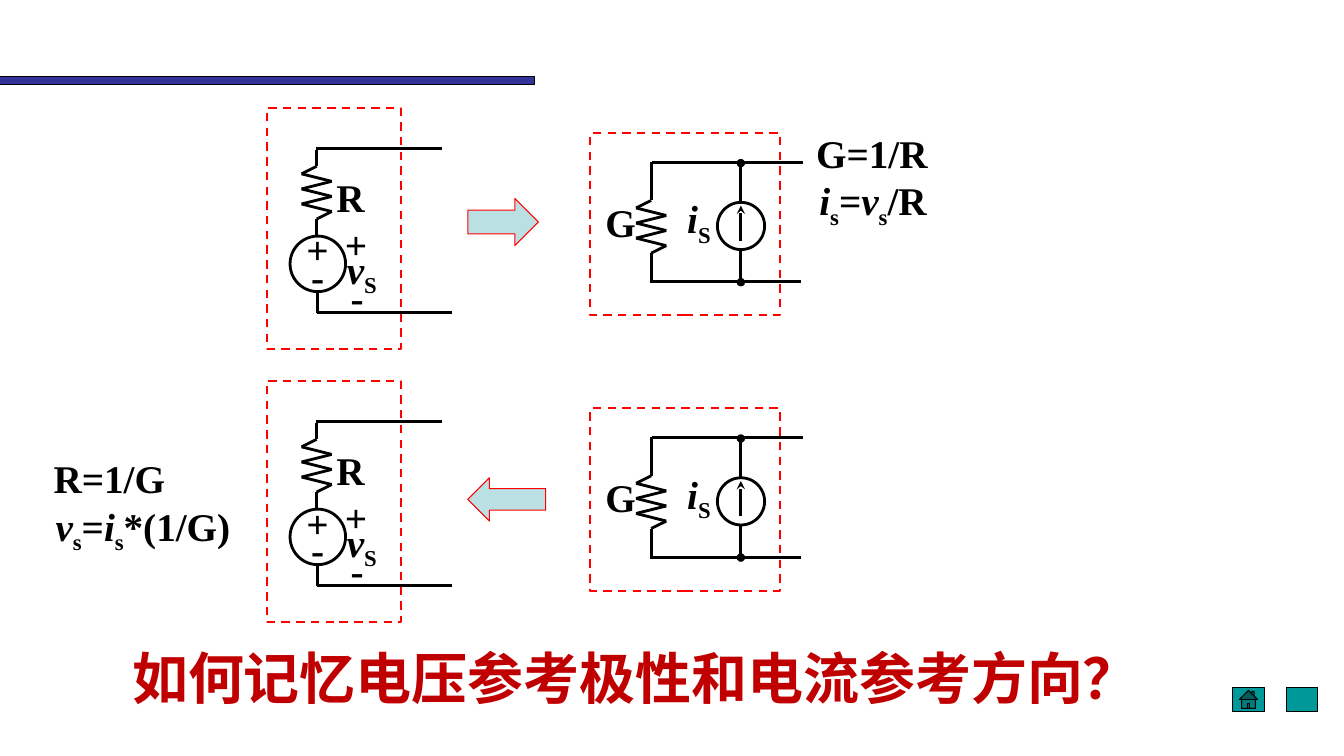
import itertools
from dataclasses import dataclass

import pptx
import pptx.dml.color
import pptx.enum.dml
import pptx.enum.shapes
import pptx.enum.text
import pptx.oxml.ns
import pptx.util
from lxml import etree
from pptx.util import Cm

SHAPE = pptx.enum.shapes.MSO_SHAPE


@dataclass(frozen=True)
class Theme:
    ink: str = "000000"
    frame: str = "FF0000"
    arrow: str = "BBE0E3"
    bar: str = "333399"
    button: str = "009999"
    question: str = "C00000"
    latin: str = "Times New Roman"
    cjk: str = "Noto Sans CJK SC"
    label_size: int = 28
    question_size: int = 40
    thin: float = 0.75
    dashed: float = 1.5
    wire: float = 2


THEME = Theme()


def rgb(color):
    return pptx.dml.color.RGBColor.from_string(color)


def add_child(parent, tag, **attributes):
    return etree.SubElement(parent, pptx.oxml.ns.qn(tag), **attributes)


def add_outline(slide, kind, left, top, width, height, line, weight, fill=None):
    """Preset shape, hollow unless a fill is given."""
    shape = slide.shapes.add_shape(kind, Cm(left), Cm(top), Cm(width), Cm(height))
    shape.shadow.inherit = False
    if fill:
        shape.fill.solid()
        shape.fill.fore_color.rgb = rgb(fill)
    else:
        shape.fill.background()
    shape.line.color.rgb = rgb(line)
    shape.line.width = pptx.util.Pt(weight)
    return shape


def add_wire(slide, start, end, head=None, tail=None):
    """Straight wire, with optional end marks."""
    wire = slide.shapes.add_connector(
        pptx.enum.shapes.MSO_CONNECTOR.STRAIGHT,
        *(Cm(value) for value in (*start, *end)))
    wire.line.color.rgb = rgb(THEME.ink)
    wire.line.width = pptx.util.Pt(THEME.wire)
    properties = wire.line._get_or_add_ln()
    for tag, mark in (("a:headEnd", head), ("a:tailEnd", tail)):
        if mark:
            add_child(properties, tag, type=mark)
    add_child(wire._element.spPr, "a:effectLst")


def add_label(slide, left, top, width, height, *pieces, inset=(0, 0),
              size=THEME.label_size, color=THEME.ink, face=THEME.latin):
    """Bold text; a piece is (text, style), style i = italic, s = subscript."""
    label = slide.shapes.add_textbox(Cm(left), Cm(top), Cm(width), Cm(height))
    frame = label.text_frame
    frame.word_wrap = True
    frame.auto_size = pptx.enum.text.MSO_AUTO_SIZE.SHAPE_TO_FIT_TEXT
    frame.margin_left = frame.margin_right = Cm(inset[0])
    frame.margin_top = frame.margin_bottom = Cm(inset[1])
    paragraph = frame.paragraphs[0]
    for text, style in pieces:
        run = paragraph.add_run()
        run.text = text
        if style == "i":
            run.font.italic = True
        elif style == "s":
            run.font._element.set("baseline", "-25000")
    font = paragraph.font
    font.size = pptx.util.Pt(size)
    font.bold = True
    font.color.rgb = rgb(color)
    font.name = face
    add_child(font._element, "a:ea", typeface=face)


def add_frame(slide, left, top, width, height):
    frame = add_outline(slide, SHAPE.RECTANGLE, left, top, width, height,
                        THEME.frame, THEME.dashed)
    frame.line.dash_style = pptx.enum.dml.MSO_LINE.DASH


def add_resistor(slide, x, top, lead_top, lead_bottom):
    """Zigzag of seven strokes with a lead at each end."""
    step, swing, strokes = 0.19, 0.38, 7
    bottom = top + strokes * step
    turns = [(x + (-1) ** n * swing, top + n * step) for n in range(1, strokes)]
    for start, end in itertools.pairwise([(x, top), *turns, (x, bottom)]):
        add_wire(slide, start, end)
    add_wire(slide, (x, top), (x, lead_top))
    add_wire(slide, (x, bottom), (x, lead_bottom))


def add_voltage_source(slide, x, y):
    """Series circuit: R above vS."""
    # Source with its inner signs
    for sign, dx, dy, width in (("-", 0.86, 3.51, 1.32), ("+", 0.74, 2.84, 1.5)):
        add_label(slide, x + dx, y + dy, width, 1.45, (sign, ""), inset=(0.25, 0.13))
    add_outline(slide, SHAPE.OVAL, x + 0.58, y + 3.23, 1.4, 1.4,
                THEME.ink, THEME.wire)
    # Terminals
    add_wire(slide, (x + 1.27, y + 4.6), (x + 1.27, y + 5.17))
    add_wire(slide, (x + 4.42, y + 1.02), (x + 1.24, y + 1.02))
    add_wire(slide, (x + 4.65, y + 5.16), (x + 1.27, y + 5.16))
    # Names and polarity
    add_label(slide, x + 1.75, y + 1.65, 1.73, 1.19, ("R", ""))
    add_label(slide, x + 2.01, y + 3.45, 1.73, 1.19, ("v", "i"), ("S", "s"))
    add_frame(slide, x, y, 3.38, 6.07)
    add_label(slide, x + 1.96, y + 2.82, 0.99, 1.19, ("+", ""))
    add_label(slide, x + 2.11, y + 4.17, 0.99, 1.19, ("-", ""))
    add_resistor(slide, x + 1.25, y + 1.47, y + 1.07, y + 3.19)


def add_current_source(slide, x, y):
    """Parallel circuit: G beside iS."""
    add_label(slide, x + 0.38, y + 1.64, 1.73, 1.19, ("G", ""))
    add_label(slide, x + 2.44, y + 1.55, 1.73, 1.19, ("i", "i"), ("S", "s"))
    add_frame(slide, x, y, 4.78, 4.6)
    # Source branch with its nodes and current direction
    branch = x + 3.79
    add_wire(slide, (branch, y + 2.95), (branch, y + 3.76), tail="oval")
    add_wire(slide, (branch, y + 0.76), (branch, y + 1.75), head="oval")
    add_outline(slide, SHAPE.OVAL, x + 3.2, y + 1.75, 1.19, 1.19,
                THEME.ink, THEME.wire)
    add_wire(slide, (branch, y + 2.72), (branch, y + 1.83), tail="stealth")
    # Terminals
    add_wire(slide, (x + 5.36, y + 0.74), (x + 1.55, y + 0.74))
    add_wire(slide, (x + 5.3, y + 3.75), (x + 1.5, y + 3.75))
    add_resistor(slide, x + 1.53, y + 1.7, y + 0.72, y + 3.75)


def main():
    deck = pptx.Presentation()
    deck.slide_width, deck.slide_height = Cm(33.87), Cm(19.05)
    slide = deck.slides.add_slide(deck.slide_layouts[6])

    # Title bar and navigation buttons
    for kind, left, top, width, height, fill in (
            (SHAPE.RECTANGLE, 0, 1.93, 13.46, 0.2, THEME.bar),
            (SHAPE.ACTION_BUTTON_HOME, 31.06, 17.32, 0.81, 0.61, THEME.button),
            (SHAPE.ACTION_BUTTON_CUSTOM, 32.41, 17.32, 0.8, 0.61, THEME.button)):
        add_outline(slide, kind, left, top, width, height, THEME.ink, THEME.thin, fill)

    # Conversion formulas
    add_label(slide, 20.57, 3.25, 3.63, 1.19, ("G=1/R", ""))
    add_label(slide, 20.65, 4.45, 5.49, 1.19, ("i", "i"), ("s", "s"), ("=", ""),
              ("v", "i"), ("s", "s"), ("/R", ""))
    add_label(slide, 1.35, 11.46, 3.63, 1.19, ("R=1/G", ""))
    add_label(slide, 1.4, 12.65, 5.49, 1.19, ("v", "i"), ("s", "s"), ("=", ""),
              ("i", "i"), ("s", "s"), ("*(1/G)", ""))

    # Conversion arrows
    add_outline(slide, SHAPE.RIGHT_ARROW, 11.79, 5.0, 1.78, 1.19,
                THEME.frame, THEME.thin, THEME.arrow)
    add_outline(slide, SHAPE.LEFT_ARROW, 11.79, 12.04, 1.96, 1.09,
                THEME.frame, THEME.thin, THEME.arrow)

    # Closing question
    add_label(slide, 3.33, 16.21, 26.62, 1.7, ("如何记忆电压参考极性和电流参考方向？", ""),
              size=THEME.question_size, color=THEME.question, face=THEME.cjk)

    # Equivalent circuits, one pair per row
    for voltage_top, current_top in ((2.72, 3.35), (9.6, 10.29)):
        add_voltage_source(slide, 6.73, voltage_top)
        add_current_source(slide, 14.88, current_top)

    deck.save("out.pptx")


if __name__ == "__main__":
    main()
